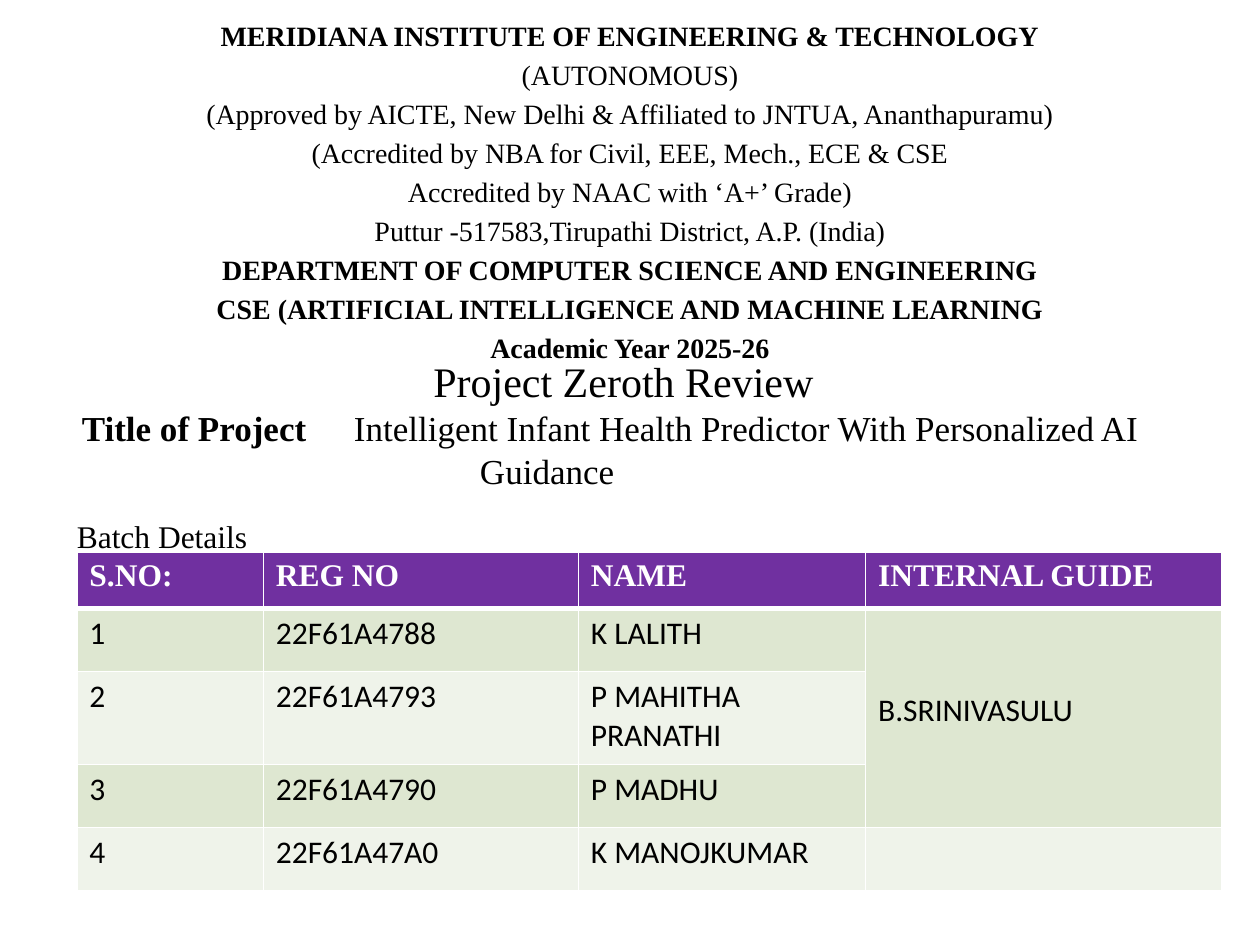
from lxml.etree import SubElement
from pptx import Presentation
from pptx.dml.color import RGBColor
from pptx.enum.text import MSO_ANCHOR, PP_ALIGN
from pptx.oxml.ns import qn
from pptx.util import Inches, Pt

HUES = {"ink": "000000", "white": "FFFFFF", "head": "7030A0",
        "odd": "DEE7D1", "even": "EFF3EA"}
SERIF, SANS = "Times New Roman", "Calibri"
WIDE, HIGH = 10, 7.5

CREST = [
    ("MERIDIANA INSTITUTE OF ENGINEERING & TECHNOLOGY", True),
    ("(AUTONOMOUS)", False),
    ("(Approved by AICTE, New Delhi & Affiliated to JNTUA, Ananthapuramu)", False),
    ("(Accredited by NBA for Civil, EEE, Mech., ECE & CSE", False),
    ("Accredited by NAAC with ‘A+’ Grade)", False),
    ("Puttur -517583,Tirupathi District, A.P. (India)", False),
    ("DEPARTMENT OF COMPUTER SCIENCE AND ENGINEERING", True),
    ("CSE (ARTIFICIAL INTELLIGENCE AND MACHINE LEARNING", True),
    ("Academic Year 2025-26", True),
]
HEADS = ["S.NO:", "REG NO", "NAME", "INTERNAL GUIDE"]
BATCH = [("22F61A4788", "K LALITH"), ("22F61A4793", "P MAHITHA PRANATHI"),
         ("22F61A4790", "P MADHU"), ("22F61A47A0", "K MANOJKUMAR")]
GUIDE = "B.SRINIVASULU"
COLS = [1.48, 2.5, 2.28, 2.83]
ROWS = [0.45, 0.5, 0.74, 0.5, 0.5]


def write(para, text, size=18, font=SERIF, hue="ink", bold=False,
          align=PP_ALIGN.LEFT, pitch=None, hang=0):
    """Fill a paragraph; hang indents every line after the first."""
    run = para.add_run()
    run.text = text
    run.font.size, run.font.name, run.font.bold = Pt(size), font, bold
    run.font.color.rgb = RGBColor.from_string(HUES[hue])
    para.alignment = align
    if pitch:
        para.line_spacing = Pt(pitch)
    if hang:
        props = para._p.get_or_add_pPr()
        props.set("marL", str(Inches(hang)))
        props.set("indent", str(-Inches(hang)))


def frame(slide, box, wrap=True):
    body = slide.shapes.add_textbox(*map(Inches, box)).text_frame
    body.word_wrap = wrap
    body.vertical_anchor = MSO_ANCHOR.TOP
    body.margin_left = body.margin_right = 0
    body.margin_top = body.margin_bottom = 0
    return body


def crest(slide, box):
    body = frame(slide, box)
    for i, (line, bold) in enumerate(CREST):
        para = body.add_paragraph() if i else body.paragraphs[0]
        write(para, line, size=16, bold=bold, align=PP_ALIGN.CENTER, pitch=22.35)


def topic(slide, box):
    """Place the review's name, with the project's label and title below."""
    left, top, width, height = box
    lead = 0.24 * width
    half = height / 2
    name = frame(slide, (left + 0.31 * width, top, 0.4 * width, half), wrap=False)
    write(name.paragraphs[0], "Project Zeroth Review", size=24)
    label = frame(slide, (left, top + half, lead, half), wrap=False)
    write(label.paragraphs[0], "Title of Project", size=20, bold=True)
    title = frame(slide, (left + lead, top + half, width - lead, half))
    write(title.paragraphs[0],
          "Intelligent Infant Health Predictor With Personalized AI Guidance",
          size=20, hang=1)


def edge(cell, base):
    props = cell._tc.get_or_add_tcPr()
    sides = [("a:lnL", 1), ("a:lnR", 1), ("a:lnT", 1), ("a:lnB", base)]
    for at, (side, width) in enumerate(sides):
        line = SubElement(props, qn(side), w=str(Pt(width)))
        fill = SubElement(line, qn("a:solidFill"))
        SubElement(fill, qn("a:srgbClr"), val=HUES["white"])
        props.insert(at, line)


def batch(slide, box):
    left, top, width, height = box
    label = frame(slide, (left, top, width, 0.3))
    write(label.paragraphs[0], "Batch Details")
    grid = slide.shapes.add_table(
        len(ROWS), len(COLS), Inches(left), Inches(top + 0.28),
        Inches(width), Inches(height - 0.28)).table
    for col, share in zip(grid.columns, COLS):
        col.width = Inches(width * share / sum(COLS))
    for row, share in zip(grid.rows, ROWS):
        row.height = Inches((height - 0.28) * share / sum(ROWS))
    data = [HEADS] + [[str(n), *who, GUIDE if n == 1 else ""]
                      for n, who in enumerate(BATCH, 1)]
    for r, line in enumerate(data):
        tint = ("odd" if r % 2 else "even") if r else "head"
        look = {} if r else {"font": SERIF, "hue": "white", "bold": True}
        for c, text in enumerate(line):
            cell = grid.cell(r, c)
            cell.fill.solid()
            cell.fill.fore_color.rgb = RGBColor.from_string(HUES[tint])
            edge(cell, 1 if r else 3)
            if text:
                write(cell.text_frame.paragraphs[0], text, **{"font": SANS, **look})
    guide = grid.cell(1, 3)
    guide.merge(grid.cell(3, 3))
    guide.margin_top = Inches(0.66)


def main():
    deck = Presentation()
    deck.slide_width, deck.slide_height = Inches(WIDE), Inches(HIGH)
    slide = deck.slides.add_slide(deck.slide_layouts[6])
    crest(slide, (0.05 * WIDE, 0.1, 0.9 * WIDE, 0.38 * HIGH))
    topic(slide, (0.65, 2.82, 0.9 * WIDE, 0.82))
    batch(slide, (0.61, 4.1, sum(COLS), 0.28 + sum(ROWS)))
    deck.save("out.pptx")


if __name__ == "__main__":
    main()
